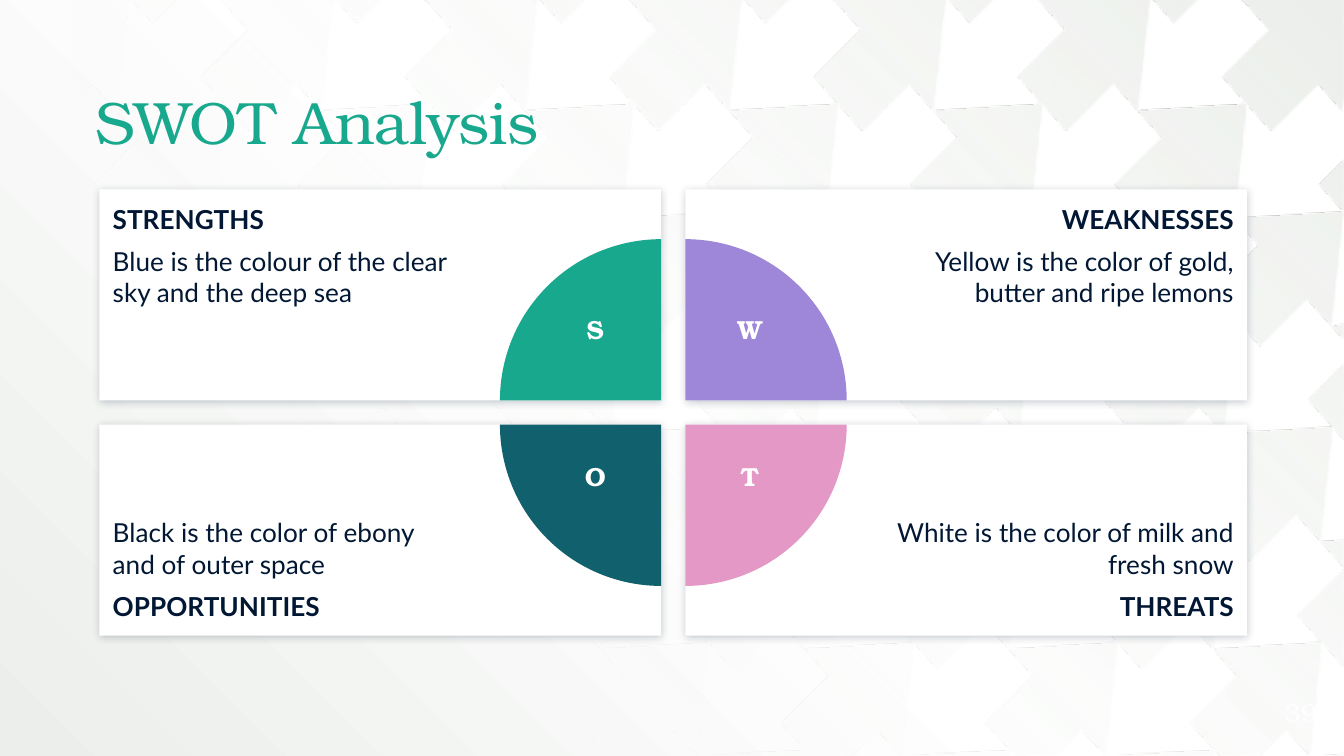
from lxml import etree
from pptx import Presentation
from pptx.dml.color import RGBColor
from pptx.enum.shapes import MSO_SHAPE
from pptx.enum.text import MSO_ANCHOR, PP_ALIGN
from pptx.oxml import parse_xml
from pptx.oxml.ns import nsdecls, qn
from pptx.util import Inches, Pt

COLORS = {
    "white": "FFFFFF", "mist": "EBEEEA", "navy": "011733", "green": "18A88D",
    "violet": "9E87D8", "pink": "E498C6", "teal": "11606D",
}
SERIF, SANS = "TeX Gyre Bonum", "Lato"
WIDTH, HEIGHT = 10, 5.625


def set_gradient(properties, stops, direction):
    """Replace the solid fill in properties by a gradient of (position, color, alpha) stops."""
    stop_xml = "".join(
        f'<a:gs pos="{position * 1000}"><a:srgbClr val="{COLORS[color]}">'
        f'<a:alpha val="{alpha * 1000}"/></a:srgbClr></a:gs>'
        for position, color, alpha in stops)
    gradient = parse_xml(f'<a:gradFill rotWithShape="1" {nsdecls("a")}>'
                         f"<a:gsLst>{stop_xml}</a:gsLst>{direction}</a:gradFill>")
    properties.replace(properties.find(qn("a:solidFill")), gradient)


def clip(points, bounds):
    """Cut a polygon at each (axis, limit, sign) bound; sign 1 keeps what lies above the limit."""
    for axis, limit, sign in bounds:
        kept = []
        for start, end in zip(points, points[1:] + points[:1]):
            start_gap, end_gap = ((p[axis] - limit) * sign for p in (start, end))
            if start_gap >= 0:
                kept.append(start)
            if start_gap * end_gap < 0:
                share = start_gap / (start_gap - end_gap)
                kept.append(tuple(a + (b - a) * share for a, b in zip(start, end)))
        points = kept
    return points


presentation = Presentation()
presentation.slide_width, presentation.slide_height = Inches(WIDTH), Inches(HEIGHT)
slide = presentation.slides.add_slide(presentation.slide_layouts[6])
shapes = slide.shapes

# Background: soft gradient under a lattice of arrows, measured in hundredths of an inch
slide.background.fill.solid()
set_gradient(slide.background._cSld.bg.bgPr,
             [(0, "white", 100), (50, "white", 100), (100, "mist", 100)],
             '<a:path path="circle"><a:fillToRect l="100000" b="100000"/></a:path>')

ARROW = [(0, 0), (9, -85), (27, -65), (62, -100), (80, -80), (98, -60), (63, -25), (81, -5)]
STAIR = [(0, 0), (18, 20), (-17, 55), (19, 95), (54, 60)]
PATTERN_LEFT, RIGHT, BOTTOM = 53, WIDTH * 100, HEIGHT * 100
bounds = [(0, PATTERN_LEFT, 1), (0, RIGHT, -1), (1, 0, 1), (1, BOTTOM, -1)]
row_tips = [(87 + 72 * row, 83 + 80 * row) for row in range(8)]

outline = [(PATTERN_LEFT, 0), (PATTERN_LEFT, 79), (69, 63)]
outline += [(x + dx, y + dy) for x, y in row_tips for dx, dy in STAIR]
outline += [(RIGHT, outline[-1][1]), (RIGHT, 0)]
contours = [clip(outline, bounds)]
for x, y in row_tips:
    for tip in range(x, int(RIGHT), 152):
        contours.append(clip([(tip + dx, y + dy) for dx, dy in ARROW], bounds))
contours = [contour for contour in contours if contour]

builder = shapes.build_freeform(*contours[0][0], scale=Inches(0.01))
builder.add_line_segments(contours[0][1:])
for contour in contours[1:]:
    builder.move_to(*contour[0])
    builder.add_line_segments(contour[1:])
pattern = builder.convert_to_shape()
pattern.shadow.inherit = False
pattern.line.fill.background()
pattern.fill.solid()
set_gradient(pattern._element.spPr,
             [(0, "mist", 100), (80, "white", 0), (100, "white", 0)],
             '<a:lin ang="8100000" scaled="0"/>')

# Cards: two columns and two rows
CARD_WIDTH, CARD_HEIGHT, GAP = 4.18, 1.57, 0.18
GRID_LEFT, GRID_TOP = 0.74, 1.41
cards = [
    (0, 0, "STRENGTHS", "Blue is the colour of the clear sky and the deep sea"),
    (1, 0, "WEAKNESSES", "Yellow is the color of gold, butter and ripe lemons"),
    (0, 1, "OPPORTUNITIES", "Black is the color of ebony and of outer space"),
    (1, 1, "THREATS", "White is the color of milk and fresh snow"),
]
for column, row, heading, body in cards:
    card = shapes.add_shape(
        MSO_SHAPE.RECTANGLE,
        Inches(GRID_LEFT + column * (CARD_WIDTH + GAP)),
        Inches(GRID_TOP + row * (CARD_HEIGHT + GAP)),
        Inches(CARD_WIDTH), Inches(CARD_HEIGHT))
    card.fill.solid()
    card.fill.fore_color.rgb = RGBColor.from_string(COLORS["white"])
    card.line.fill.background()
    card.shadow.inherit = False
    effects = card._element.spPr.find(qn("a:effectLst"))
    shadow = etree.SubElement(effects, qn("a:outerShdw"), blurRad=str(Pt(4.5)),
                              dist=str(Pt(0.8)), dir=str(89 * 60000), algn="t")
    shadow_color = etree.SubElement(shadow, qn("a:srgbClr"), val=COLORS["navy"])
    etree.SubElement(shadow_color, qn("a:alpha"), val="21000")

    frame = card.text_frame
    frame.word_wrap = True
    frame.vertical_anchor = MSO_ANCHOR.BOTTOM if row else MSO_ANCHOR.TOP
    frame.margin_top = frame.margin_bottom = Inches(0.1)
    frame.margin_left, frame.margin_right = (
        (Inches(1.5), Inches(0.1)) if column else (Inches(0.1), Inches(1.5)))
    texts = [body, heading] if row else [heading, body]
    frame.text = "\n".join(texts)
    for paragraph, text in zip(frame.paragraphs, texts):
        paragraph.alignment = PP_ALIGN.RIGHT if column else PP_ALIGN.LEFT
        paragraph.font.name, paragraph.font.size = SANS, Pt(14)
        paragraph.font.bold = text == heading
        paragraph.font.color.rgb = RGBColor.from_string(COLORS["navy"])
    frame.paragraphs[1].space_before = frame.paragraphs[1].space_after = Pt(6)

# Quarter circles around the inner corners of the cards, clockwise
RADIUS = 1.2
quarters = [(0, 0, "green"), (1, 0, "violet"), (1, 1, "pink"), (0, 1, "teal")]
for turn, (column, row, color) in enumerate(quarters):
    quarter = shapes.add_shape(
        MSO_SHAPE.PIE,
        Inches(GRID_LEFT + CARD_WIDTH + column * GAP - RADIUS),
        Inches(GRID_TOP + CARD_HEIGHT + row * GAP - RADIUS),
        Inches(2 * RADIUS), Inches(2 * RADIUS))
    quarter.adjustments[0], quarter.adjustments[1] = 108, 162  # 180 and 270 degrees
    quarter.rotation = 90 * turn
    quarter.fill.solid()
    quarter.fill.fore_color.rgb = RGBColor.from_string(COLORS[color])
    quarter.line.fill.background()
    quarter.shadow.inherit = False

# Title, letters and slide number: left, top, width, height, margins, ...
LETTER_LEFT, LETTER_TOP, LETTER_STEP_X, LETTER_STEP_Y = 4.13, 2.28, 1.15, 1.1
labels = [("SWOT Analysis", 0.71, 0.69, 6.7, 0.47, 0, 32, "green", False, PP_ALIGN.LEFT),
          ("39", 9.3, 5.18, 0.5, 0.3, 0, 14, "white", False, PP_ALIGN.RIGHT)]
for index, letter in enumerate("SWOT"):
    row, column = divmod(index, 2)
    labels.append((letter, LETTER_LEFT + column * LETTER_STEP_X,
                   LETTER_TOP + row * LETTER_STEP_Y,
                   0.6, 0.4, 0.05, 14, "white", True, PP_ALIGN.CENTER))
for text, left, top, width, height, margin, size, color, bold, alignment in labels:
    box = shapes.add_textbox(Inches(left), Inches(top), Inches(width), Inches(height))
    frame = box.text_frame
    frame.word_wrap = True
    frame.margin_left = frame.margin_right = Inches(margin)
    frame.margin_top = frame.margin_bottom = Inches(margin)
    frame.text = text
    paragraph = frame.paragraphs[0]
    paragraph.alignment = alignment
    paragraph.line_spacing = 0.9 if size == 32 else 1.0
    paragraph.font.name, paragraph.font.size, paragraph.font.bold = SERIF, Pt(size), bold
    paragraph.font.color.rgb = RGBColor.from_string(COLORS[color])

presentation.save("out.pptx")
